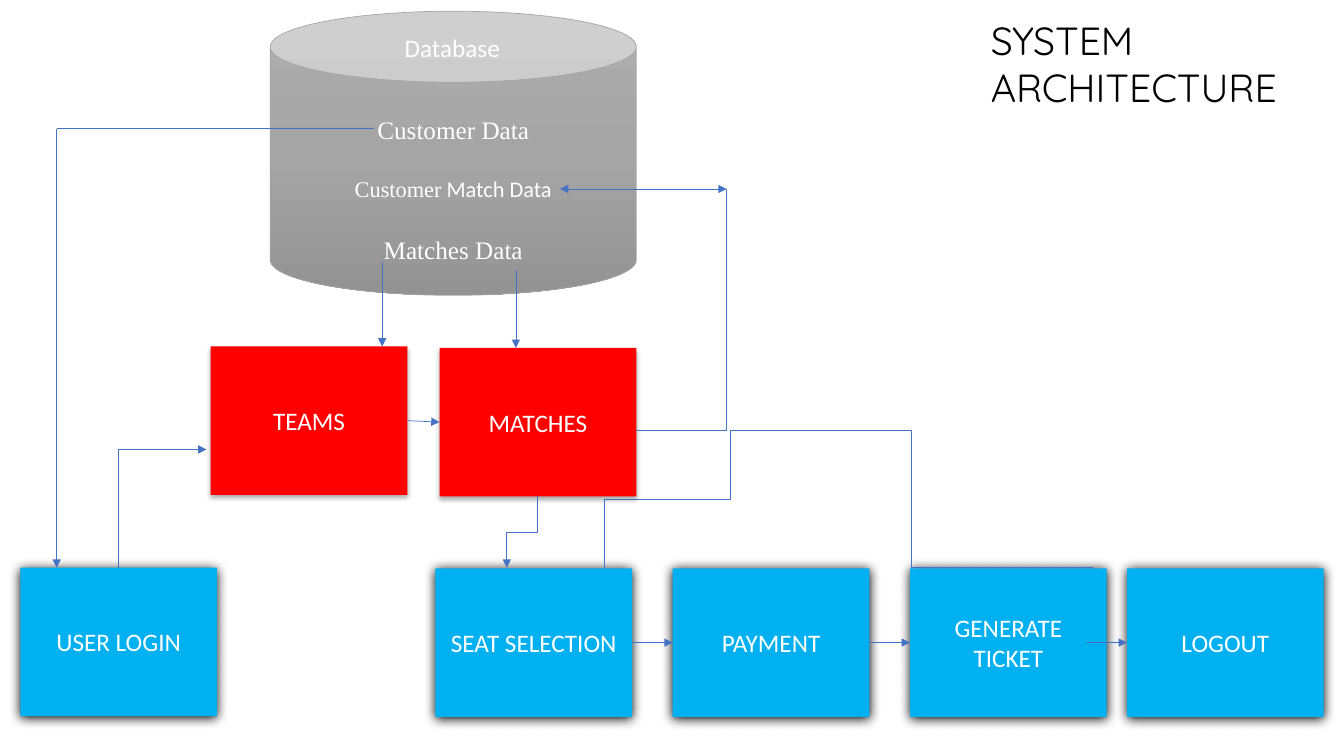
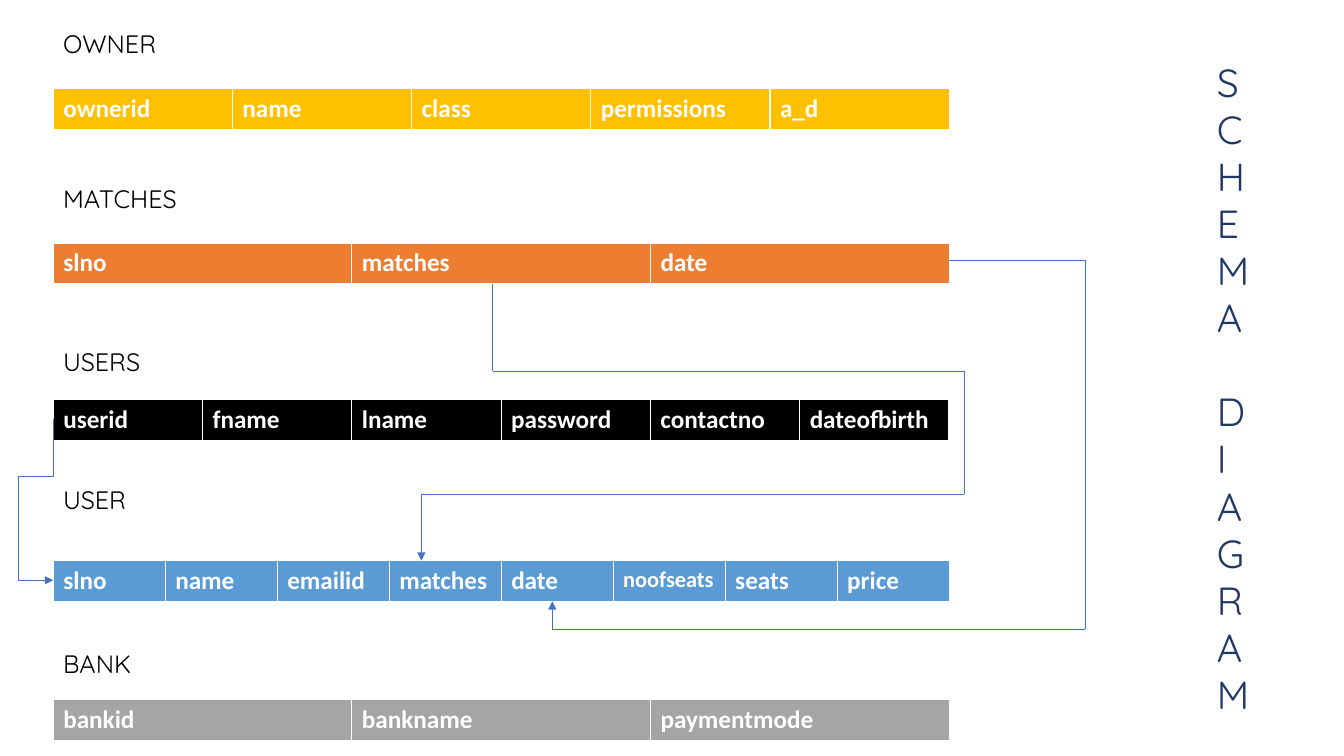
"""Build two slides: a ticketing system architecture and its schema diagram."""
import copy

import lxml.etree
import pptx
import pptx.dml.color
import pptx.enum.dml
import pptx.enum.shapes
import pptx.enum.text
import pptx.oxml.ns
import pptx.util

Pt = pptx.util.Pt
RGB = pptx.dml.color.RGBColor.from_string
qn = pptx.oxml.ns.qn
SHAPE = pptx.enum.shapes.MSO_SHAPE
LINK = pptx.enum.shapes.MSO_CONNECTOR
ALIGN = pptx.enum.text.PP_ALIGN
ANCHOR = pptx.enum.text.MSO_ANCHOR


class Theme:
    heading, body, serif = "Quicksand", "Calibri", "Times New Roman"
    title_size, text_size, small_size = 28, 18, 16
    black, white, navy = "000000", "FFFFFF", "203864"
    line, blue, red = "4472C4", "00B0F0", "FF0000"
    gold, orange, sky, gray = "FFC000", "ED7D31", "5B9BD5", "A5A5A5"
    can_stops = ("AFAFAF", "A5A5A5", "939393")


def style(p, font, size=Theme.text_size, color=Theme.white, align=ALIGN.LEFT):
    p.alignment = align
    p.font.name, p.font.size = font, Pt(size)
    p.font.color.rgb = RGB(color)


def connect(s, start, end, tail=False, head=False, bends=0, turned=False):
    (x1, y1), (x2, y2) = start, end
    if turned:
        cx, cy, dx, dy = (x1 + x2) / 2, (y1 + y2) / 2, (x2 - x1) / 2, (y2 - y1) / 2
        x1, y1, x2, y2 = cx - dy, cy + dx, cx + dy, cy - dx
    kind = LINK.ELBOW if bends else LINK.STRAIGHT
    cxn = s.shapes.add_connector(kind, Pt(x1), Pt(y1), Pt(x2), Pt(y2))
    cxn.line.color.rgb = RGB(Theme.line)
    cxn.line.width = Pt(0.5)
    props = cxn.element.spPr
    if turned:
        props.find(qn("a:xfrm")).set("rot", "5400000")
    if bends == 1:
        props.find(qn("a:prstGeom")).set("prst", "bentConnector2")
    for tag, wanted in (("a:headEnd", head), ("a:tailEnd", tail)):
        if wanted:
            lxml.etree.SubElement(props.find(qn("a:ln")), qn(tag), type="triangle")
    lxml.etree.SubElement(props, qn("a:effectLst"))
    return cxn


prs = pptx.Presentation()
prs.slide_width, prs.slide_height = Pt(960), Pt(540)

titles = [
    (["SYSTEM\vARCHITECTURE"], (700.5, 8, 244, 75), Theme.black),
    (["\v".join("SCHEMA"), "\v".join("DIAGRAM")], (862, 38, 90, 482), Theme.navy),
]
for words, place, color in titles:
    s = prs.slides.add_slide(prs.slide_layouts[5])
    title = s.shapes.title
    title.left, title.top, title.width, title.height = map(Pt, place)
    tf = title.text_frame
    tf.auto_size = pptx.enum.text.MSO_AUTO_SIZE.NONE
    tf.vertical_anchor = ANCHOR.TOP
    for i, word in enumerate(words):
        p = tf.add_paragraph() if i else tf.paragraphs[0]
        p.text = word
        style(p, Theme.heading, Theme.title_size, color)
        if i:
            p.space_before = Pt(33.6)
architecture, schema = prs.slides

s = architecture
shadows = {Theme.blue: (100, 8.5, 1), Theme.red: (32, 3.5, 2.2)}
boxes = {}
for name, x, y, color in [
    ("USER LOGIN", 14.5, 405.5, Theme.blue),
    ("TEAMS", 150.5, 247.5, Theme.red),
    ("MATCHES", 314, 248.5, Theme.red),
    ("SEAT SELECTION", 311, 406, Theme.blue),
    ("PAYMENT", 480.5, 406, Theme.blue),
    ("GENERATE TICKET", 650, 406, Theme.blue),
    ("LOGOUT", 805, 406, Theme.blue),
]:
    sp = s.shapes.add_shape(SHAPE.RECTANGLE, Pt(x), Pt(y), Pt(140.5), Pt(106))
    sp.fill.solid()
    sp.fill.fore_color.rgb = RGB(color)
    sp.line.fill.background()
    sp.shadow.inherit = False
    alpha, blur, distance = shadows[color]
    shadow = lxml.etree.SubElement(
        sp.element.spPr.find(qn("a:effectLst")), qn("a:outerShdw"),
        blurRad=str(Pt(blur)), dist=str(Pt(distance)), dir="5400000",
        algn="ctr", rotWithShape="0")
    tint = lxml.etree.SubElement(shadow, qn("a:srgbClr"), val=Theme.black)
    lxml.etree.SubElement(tint, qn("a:alpha"), val=str(alpha * 1000))
    sp.text_frame.vertical_anchor = ANCHOR.MIDDLE
    p = sp.text_frame.paragraphs[0]
    p.text = name
    style(p, Theme.body, align=ALIGN.CENTER)
    boxes[name] = sp

can = s.shapes.add_shape(SHAPE.CAN, Pt(193), Pt(8), Pt(261.5), Pt(203))
can.shadow.inherit = False
can.line.color.rgb = RGB(Theme.gray)
can.line.width = Pt(0.5)
can.fill.gradient()
can.fill.gradient_angle = 270
first = can.element.spPr.find(".//" + qn("a:gs"))
middle = copy.deepcopy(first)
middle.set("pos", "50000")
first.addnext(middle)
for stop, color in zip(can.fill.gradient_stops, Theme.can_stops):
    stop.color.rgb = RGB(color)
tf = can.text_frame
tf.vertical_anchor = ANCHOR.TOP
tf.margin_top = Pt(23)
p = tf.paragraphs[0]
p.text = "Customer Data"
style(p, Theme.serif, align=ALIGN.CENTER)
p = tf.add_paragraph()
p.space_before = Pt(21.5)
style(p, Theme.body, Theme.small_size, align=ALIGN.CENTER)
for text, font in (("Customer", Theme.serif), (" Match Data", Theme.body)):
    r = p.add_run()
    r.text = text
    r.font.name = font

for text, x, y, w, font, align in [
    ("Database", 282, 19.5, 100, Theme.body, ALIGN.LEFT),
    ("Matches Data", 253.5, 164, 140.5, Theme.serif, ALIGN.CENTER),
]:
    tf = s.shapes.add_textbox(Pt(x), Pt(y), Pt(w), Pt(29)).text_frame
    tf.word_wrap = True
    p = tf.paragraphs[0]
    p.text = text
    style(p, font, align=align)

for start, end in [
    ("TEAMS", "MATCHES"),
    ("SEAT SELECTION", "PAYMENT"),
    ("PAYMENT", "GENERATE TICKET"),
]:
    cxn = connect(s, (0, 0), (1, 1), tail=True)
    cxn.begin_connect(boxes[start], 3)
    cxn.end_connect(boxes[end], 1)
connect(s, (775.5, 459), (805, 459), tail=True).end_connect(boxes["LOGOUT"], 1)
connect(s, (84.75, 405.5), (84.75, 321)).begin_connect(boxes["USER LOGIN"], 0)
connect(s, (384, 354.5), (362, 405.5), tail=True, bends=2, turned=True)
connect(s, (432, 405.5), (521.5, 307.5), bends=2, turned=True)
connect(s, (521.5, 307.5), (781, 405.5), bends=2)
connect(s, (519, 135), (400, 135), tail=True, head=True)
connect(s, (454.5, 307.5), (519, 307.5))
connect(s, (519, 307.5), (519, 135))

s = schema
for name, label_y, table_y, color, fields in [
    ("OWNER", 16.5, 63.5, Theme.gold, "ownerid name class permissions a_d"),
    ("MATCHES", 127.5, 173.5, Theme.orange, "slno matches date"),
    ("USERS", 243.5, 285.5, Theme.black,
     "userid fname lname password contactno dateofbirth"),
    ("USER", 342.5, 400.5, Theme.sky,
     "slno name emailid matches date noofseats seats price"),
    ("BANK", 459.5, 499.5, Theme.gray, "bankid bankname paymentmode"),
]:
    tf = s.shapes.add_textbox(Pt(38), Pt(label_y), Pt(237.5), Pt(29)).text_frame
    tf.word_wrap = True
    p = tf.paragraphs[0]
    p.text = name
    style(p, Theme.heading, color=Theme.black)

    fields = fields.split()
    table = s.shapes.add_table(
        1, len(fields), Pt(38), Pt(table_y), Pt(640), Pt(29.2)).table
    for cell, field in zip(table.rows[0].cells, fields):
        cell.fill.solid()
        cell.fill.fore_color.rgb = RGB(color)
        p = cell.text_frame.paragraphs[0]
        p.text = field
        style(p, Theme.body,
              Theme.small_size if field == "noofseats" else Theme.text_size)
        p.font.bold = True

connect(s, (38, 299.5), (13, 381), bends=2, turned=True)
connect(s, (13, 381), (38, 414.5), tail=True, bends=1, turned=True)

routes = [
    (architecture, [(84.75, 321), (147.5, 321)]),
    (architecture, [(267, 92), (40.5, 92), (40.5, 405.5)]),
    (architecture, [(368.5, 193), (368.5, 248.5)]),
    (architecture, [(273, 187), (273, 247.5)]),
    (schema, [(352, 203), (352, 265), (688.5, 265), (688.5, 353),
              (301, 353), (301, 400.5)]),
    (schema, [(678, 186), (775, 186), (775, 449.5), (394.5, 449.5),
              (394.5, 429.5)]),
]
for s, points in routes:
    for start, end in zip(points, points[1:]):
        connect(s, start, end, tail=end == points[-1])

prs.save("out.pptx")
